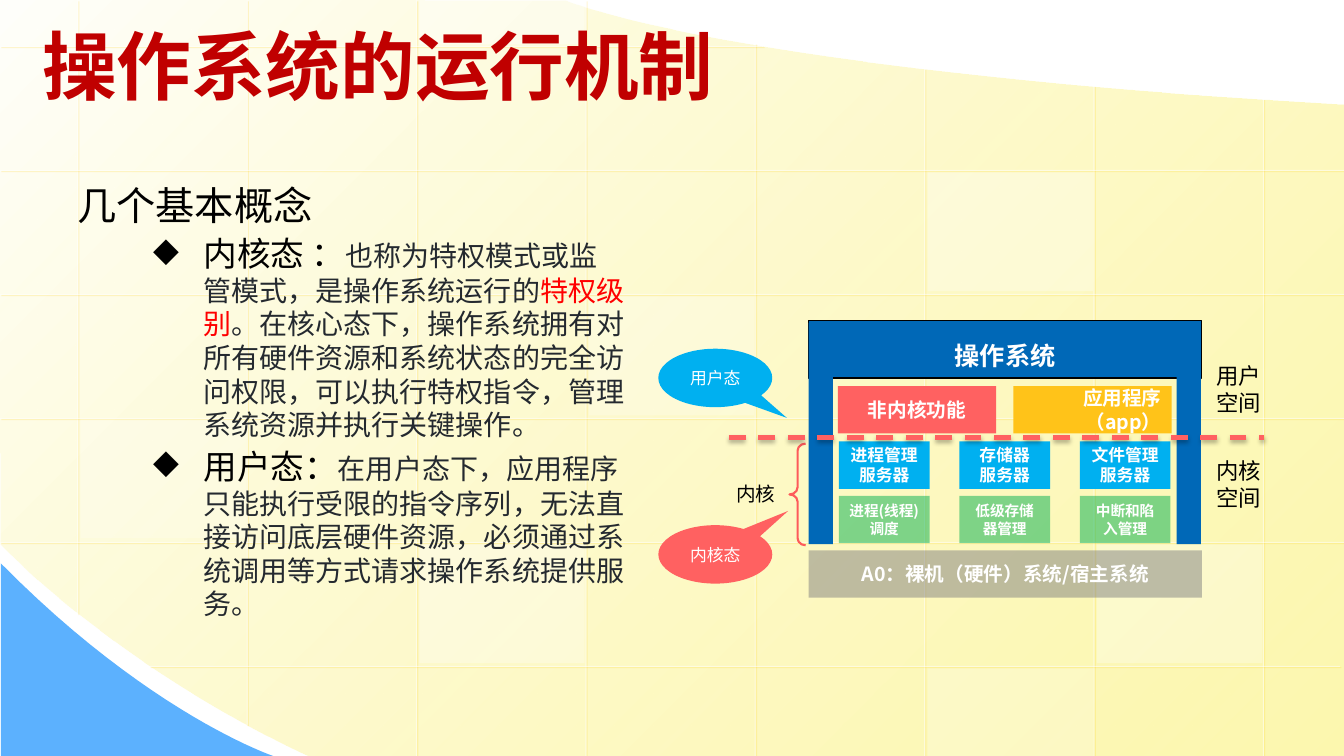
from lxml import etree
from pptx import Presentation, util as u
from pptx.dml.color import RGBColor
from pptx.enum import dml, shapes, text
from pptx.oxml import ns

# The slide is a grid of 13.33 columns by 7.5 rows
COLS, ROWS = 13.33, 7.5
CELL = u.Inches(1)
CJK = "Noto Sans CJK SC"
SHAPE = shapes.MSO_SHAPE
LEFT, CENTER, RIGHT = text.PP_ALIGN.LEFT, text.PP_ALIGN.CENTER, text.PP_ALIGN.RIGHT
TOP, MIDDLE = text.MSO_ANCHOR.TOP, text.MSO_ANCHOR.MIDDLE
RED, SKY, BLUE = "FF6161", "00B0F0", "0068B7"


def cells(*numbers):
    return [u.Emu(round(n * CELL)) for n in numbers]


def rgb(code):
    return RGBColor.from_string(code)


def add_xml(parent, tag, **attributes):
    child = etree.SubElement(parent, ns.qn(tag))
    for name, value in attributes.items():
        child.set(name, str(value))
    return child


def set_alpha(properties, percent):
    """Make the last colour inside the given XML part translucent."""
    colour = list(properties.iter(ns.qn("a:srgbClr")))[-1]
    add_xml(colour, "a:alpha", val=percent * 1000)


def write(shape, paragraphs, size=12, color="FFFFFF", font=CJK, bold=False,
          align=CENTER, anchor=MIDDLE, leading=1.2):
    """Each paragraph is a string, or a dict of runs, bullet and space."""
    frame = shape.text_frame
    frame.word_wrap = True
    frame.vertical_anchor = anchor
    for i, content in enumerate(paragraphs):
        if isinstance(content, str):
            content = {"runs": [(content, {})]}
        paragraph = frame.paragraphs[0] if i == 0 else frame.add_paragraph()
        if "bullet" in content:
            props = paragraph._p.get_or_add_pPr()
            hang = u.Inches(0.5)
            props.set("marL", str(u.Inches(1.25)))
            props.set("indent", str(-hang))
            add_xml(props, "a:buChar", char=content["bullet"])
        paragraph.alignment = align
        if leading:
            paragraph.line_spacing = u.Pt(content.get("size", size) * leading)
        if "space" in content:
            paragraph.space_before = u.Pt(content["space"])
        for words, look in content["runs"]:
            run = paragraph.add_run()
            run.text = words
            run.font.size = u.Pt(look.get("size", size))
            run.font.bold = bold
            run.font.color.rgb = rgb(look.get("color", color))
            run.font.name = look.get("font", font)
            add_xml(run._r.get_or_add_rPr(), "a:ea", typeface=CJK)


def add_label(slide, box, paragraphs, **look):
    label = slide.shapes.add_textbox(*cells(*box))
    write(label, paragraphs, **{"color": "000000", "anchor": TOP, **look})


def add_block(slide, box, fill=None, alpha=None, kind=SHAPE.RECTANGLE,
              line=None, width=1, adjust=(), words=(), **look):
    block = slide.shapes.add_shape(kind, *cells(*box))
    block.shadow.inherit = False
    for i, value in enumerate(adjust):
        block.adjustments[i] = value
    if fill:
        block.fill.solid()
        block.fill.fore_color.rgb = rgb(fill)
    else:
        block.fill.background()
    if alpha:
        set_alpha(block._element.spPr, alpha)
    if line:
        block.line.color.rgb = rgb(line)
        block.line.width = u.Pt(width)
    else:
        block.line.fill.background()
    if words:
        write(block, words, **look)
    return block


def add_line(slide, ends, color, width, shadow, alpha=None, dash=None):
    line = slide.shapes.add_connector(shapes.MSO_CONNECTOR.STRAIGHT, *cells(*ends))
    line.line.color.rgb = rgb(color)
    line.line.width = u.Pt(width)
    if dash:
        line.line.dash_style = dash
    if alpha:
        set_alpha(line._element.spPr, alpha)
    tint, opacity, blur, distance, angle = shadow
    effects = add_xml(line._element.spPr, "a:effectLst")
    cast = add_xml(effects, "a:outerShdw", blurRad=u.Pt(blur), dist=u.Pt(distance),
                   dir=angle * 60000, algn="ctr", rotWithShape=0)
    add_xml(cast, "a:srgbClr", val=tint)
    set_alpha(cast, opacity)


def add_outline(slide, start, segments):
    """Segments of one point are straight; those of three are Bezier curves."""
    points, here = [], start
    for segment in segments:
        if len(segment) == 3:
            a, b, end = segment
            for t in (n / 24 for n in range(1, 24)):
                s = 1 - t
                points.append(tuple(
                    s**3 * p + 3 * s * s * t * q + 3 * s * t * t * r + t**3 * e
                    for p, q, r, e in zip(here, a, b, end)))
        here = segment[-1]
        points.append(here)
    builder = slide.shapes.build_freeform(*cells(*start), scale=1.0)
    builder.add_line_segments([cells(*p) for p in points], close=True)
    outline = builder.convert_to_shape()
    outline.shadow.inherit = False
    outline.line.fill.background()
    return outline


def draw_background(slide):
    sheet = add_outline(slide, (13.33, 1.04), [
        ((13.34, 7.5),), ((3.07, 7.5),), ((1.15, 6.61), (-0.01, 5.39), (0, 5.39)),
        ((-0.01, -0.01),), ((5.61, 0.01),), ((5.61, 0.01), (7.15, 0.69), (13.33, 1.04))])
    sheet.fill.gradient()
    sheet.fill.gradient_angle = 315
    for stop, tint in zip(sheet.fill.gradient_stops, ("FFFFFB", "FDF58D")):
        stop.color.rgb = rgb(tint)
    set_alpha(sheet._element.spPr, 70)
    corner = add_outline(slide, (0.01, 5.59), [
        ((0.01, 7.5),), ((2.71, 7.5),), ((2.71, 7.5), (1.49, 7.09), (0.01, 5.59))])
    corner.fill.solid()
    corner.fill.fore_color.rgb = rgb("5CB1FE")

    # Faint grid lines, cut short where the curves are
    glow = ("FFCC00", 34, 0, 1.4, 45)
    spans = [(0, 6.09), (0, 7.19), (0, 7.5), (0, 7.5), (0.43, 7.5),
             (0.68, 7.5), (0.85, 7.5), (0.98, 7.5)]
    for i, (top, bottom) in enumerate(spans):
        x = 0.77 + 1.68 * i
        add_line(slide, (x, top, x, bottom), "FFFFFF", 0.75, glow, alpha=50)
    for i, (start, end) in enumerate([(7.57, 0)] + [(COLS, 0)] * 4 + [(13.29, 1.48)]):
        y = 0.46 + 1.23 * i
        add_line(slide, (start, y, end, y), "FFFFFF", 0.75, glow, alpha=50)

    # Pale tiles: column, top, height, opacity
    for column, top, height, alpha in [(3, 2.94, 1.18, 25), (6, 5.4, 1.18, 30),
                                       (0, 4.16, 1.18, 20), (5, 6.63, 0.87, 20),
                                       (2, 0, 0.44, 40), (2, 5.4, 1.18, 30),
                                       (5, 1.71, 1.18, 30)]:
        add_block(slide, (0.8 + 1.68 * column, top, 1.64, height), "FFFFFF", alpha)


def draw_concepts(slide):
    term = {"size": 24}
    detail = {"color": "24292F", "font": "Arial"}
    add_label(slide, (0.67, 1.75, 5.63, 4.95), [
        {"size": 28, "runs": [("几个基本概念", {"size": 28})]},
        {"bullet": "◆", "space": 8, "runs": [
            ("内核态 ：", term),
            ("也称为特权模式或监管模式，是操作系统运行的", detail),
            ("特权级别", {**detail, "color": "FF0000"}),
            ("。在核心态下，操作系统拥有对所有硬件资源和系统状态的完全访问权限，"
             "可以执行特权指令，管理系统资源并执行关键操作。", detail)]},
        {"bullet": "◆", "space": 8, "runs": [
            ("用户态：", term),
            ("在用户态下，应用程序只能执行受限的指令序列，无法直接访问底层硬件资源，"
             "必须通过系统调用等方式请求操作系统提供服务。", detail)]},
    ], size=20, align=LEFT)
    add_label(slide, (0.32, 0.14, 12, 1.01), ["操作系统的运行机制"], size=53.3,
              color="C00000", font="Times New Roman", bold=True, align=LEFT,
              anchor=MIDDLE, leading=None)


def draw_system(slide):
    # Kernel brace and labels of the two spaces
    brace = add_block(slide, (7.83, 4.4, 0.16, 1.01), kind=SHAPE.RIGHT_BRACE,
                      line="FD5B5B", width=1.5, adjust=(0.444, 0.5))
    brace.rotation = 180
    add_label(slide, (7.1, 4.73, 0.79, 0.34), ["内核"], size=14)
    for top, owner in ((3.54, "用户"), (4.49, "内核")):
        add_label(slide, (11.81, top, 0.95, 0.64), [owner, "空间"], size=16)

    # Hardware base, roof and the two upper blocks
    add_block(slide, (8.02, 5.46, 3.9, 0.47), "808080", 50,
              words=["A0：裸机（硬件）系统/宿主系统"], size=14, bold=True)
    add_block(slide, (8.02, 3.18, 3.9, 0.57), BLUE, line="000000",
              words=["操作系统"], size=18, bold=True, anchor=TOP, leading=1.78)
    for left, fill, name, align in ((8.31, RED, "非内核功能", CENTER),
                                    (10.05, "FFC319", "应用程序（app）", RIGHT)):
        add_block(slide, (left, 3.83, 1.57, 0.47), fill, words=[name],
                  size=14, bold=True, align=align)

    # Servers above the kernel parts that they rest on
    for i, (server, part) in enumerate([("进程管理", "进程(线程)调度"),
                                        ("存储器", "低级存储器管理"),
                                        ("文件管理", "中断和陷入管理")]):
        left = 8.32 + 1.195 * i
        add_block(slide, (left, 4.38, 0.9, 0.47), SKY,
                  words=[server, "服务器"], bold=True)
        add_block(slide, (left, 4.92, 0.9, 0.47), "00B050", 50,
                  words=[part], size=10.5, bold=True)
    for left in (8.02, 11.67):
        add_block(slide, (left, 3.2, 0.24, 2.2), BLUE)

    # Mode callouts and the border between the spaces
    for top, fill, mode, tip in ((5.21, RED, "内核态", (0.64, -0.744)),
                                 (3.46, SKY, "用户态", (0.628, 0.683))):
        add_block(slide, (6.53, top, 1.13, 0.58), fill, kind=SHAPE.OVAL_CALLOUT,
                  adjust=tip, words=[mode])
    add_line(slide, (7.23, 4.34, 12.54, 4.34), RED, 3, ("000000", 35, 3.1, 1.8, 90),
             dash=dml.MSO_LINE.DASH)


def main():
    deck = Presentation()
    deck.slide_width, deck.slide_height = cells(COLS, ROWS)
    slide = deck.slides.add_slide(deck.slide_layouts[6])
    draw_background(slide)
    draw_concepts(slide)
    draw_system(slide)
    deck.save("out.pptx")


if __name__ == "__main__":
    main()
